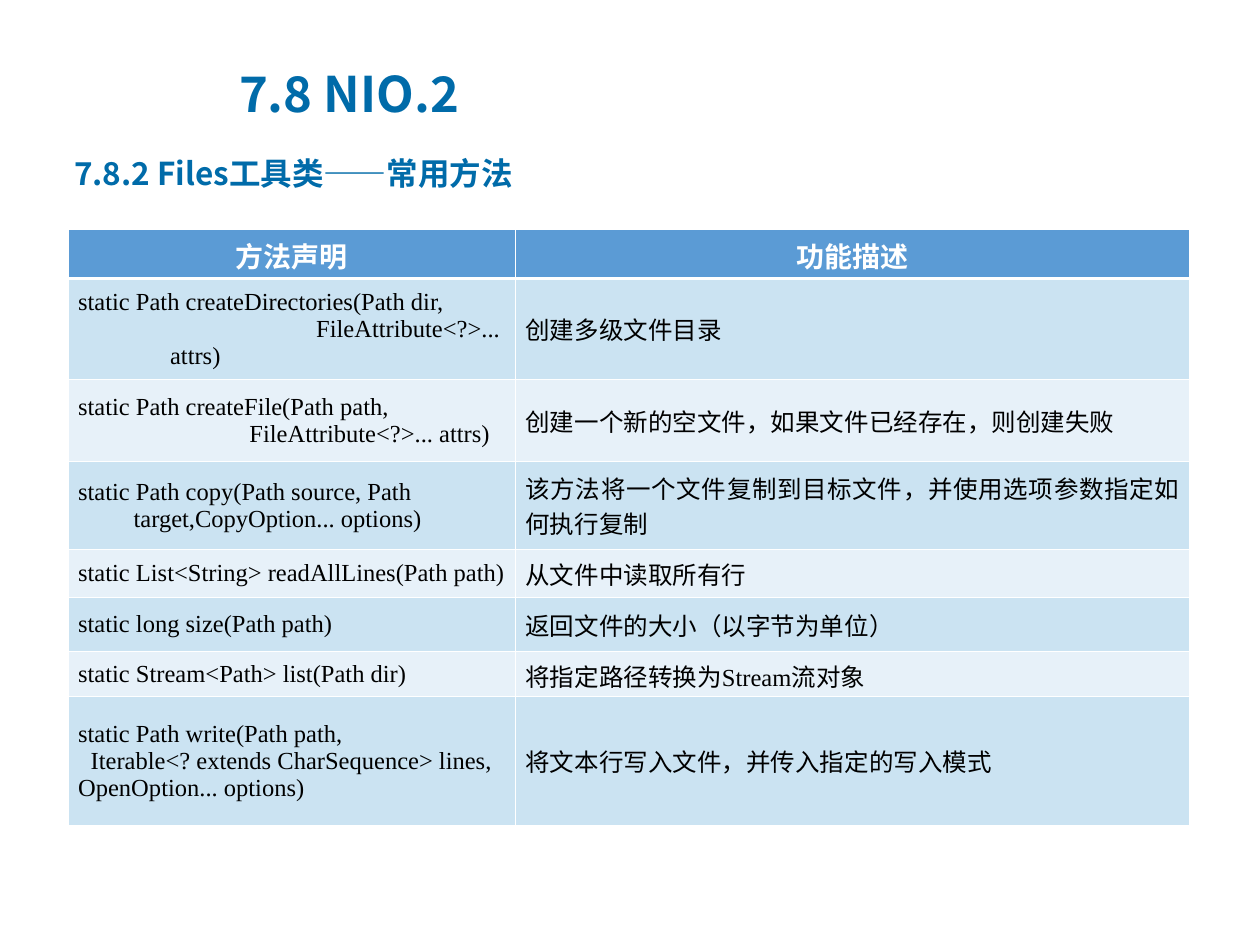
from lxml.etree import SubElement
from pptx import Presentation
from pptx.dml.color import RGBColor
from pptx.enum.text import MSO_ANCHOR as Anchor, PP_ALIGN as Align
from pptx.oxml.ns import qn
from pptx.util import Inches, Pt

BLUE = RGBColor(0x00, 0x6B, 0xA9)
HEADER = RGBColor(0x5B, 0x9B, 0xD5)
BAND_DARK = RGBColor(0xCB, 0xE3, 0xF2)
BAND_LIGHT = RGBColor(0xE7, 0xF1, 0xF9)
WHITE = RGBColor(0xFF, 0xFF, 0xFF)
BLACK = RGBColor(0x00, 0x00, 0x00)

SANS = "Noto Sans CJK SC"
COLUMNS = (3.55, 5.35)
HEADINGS = ("方法声明", "功能描述")
HEADER_HEIGHT = 0.39

# Each signature line: text, left margin, first-line indent
METHODS = [
    (0.8, [("static Path createDirectories(Path dir,", 0.73, -0.73),
           ("FileAttribute<?>... attrs)", 0.73, 1.16)],
     "创建多级文件目录"),
    (0.65, [("static Path createFile(Path path,", 0.88, -0.88),
            ("FileAttribute<?>... attrs)", 0.88, 0.48)],
     "创建一个新的空文件，如果文件已经存在，则创建失败"),
    (0.7, [("static Path copy(Path source, Path target,CopyOption... options)", 0.44, -0.44)],
     "该方法将一个文件复制到目标文件，并使用选项参数指定如何执行复制"),
    (0.38, [("static List<String> readAllLines(Path path)", 0.73, -0.73)],
     "从文件中读取所有行"),
    (0.43, [("static long size(Path path)", 0, 0)],
     "返回文件的大小（以字节为单位）"),
    (0.36, [("static Stream<Path> list(Path dir)", 0, 0)],
     "将指定路径转换为Stream流对象"),
    (1.02, [("static Path write(Path path,", 0, 0),
            ("Iterable<? extends CharSequence> lines, OpenOption... options)", 0, 0.1)],
     "将文本行写入文件，并传入指定的写入模式"),
]


def add_span(para, text, size, color, font=SANS, bold=False):
    span = para.add_run()
    span.text = text
    span.font.size = Pt(size)
    span.font.bold = bold
    span.font.name = font
    span.font.color.rgb = color
    SubElement(span.font._element, qn("a:ea"), typeface=SANS)


def set_indent(para, left, first):
    properties = para._p.get_or_add_pPr()
    properties.set("marL", str(Inches(left)))
    properties.set("indent", str(Inches(first)))


def add_heading(page, left, top, width, height, text, size, anchor):
    box = page.shapes.add_textbox(Inches(left), Inches(top), Inches(width), Inches(height))
    frame = box.text_frame
    frame.word_wrap = True
    frame.vertical_anchor = anchor
    add_span(frame.paragraphs[0], text, size, BLUE, bold=True)


def style_cell(cell, fill, top=0.45, bottom=0.45):
    cell.vertical_anchor = Anchor.MIDDLE
    cell.margin_left = cell.margin_right = Inches(0.08)
    properties = cell._tc.get_or_add_tcPr()
    for side, width in (("L", 0.45), ("R", 0.45), ("T", top), ("B", bottom)):
        line = SubElement(properties, qn(f"a:ln{side}"), w=str(Pt(width)))
        solid = SubElement(line, qn("a:solidFill"))
        SubElement(solid, qn("a:srgbClr"), val=str(WHITE))
    cell.fill.solid()
    cell.fill.fore_color.rgb = fill


def add_method_table(page, left, top):
    heights = [HEADER_HEIGHT] + [method[0] for method in METHODS]
    table = page.shapes.add_table(
        len(heights), len(COLUMNS), Inches(left), Inches(top),
        Inches(sum(COLUMNS)), Inches(sum(heights))).table
    for column, width in zip(table.columns, COLUMNS):
        column.width = Inches(width)
    for row, height in zip(table.rows, heights):
        row.height = Inches(height)

    for index, heading in enumerate(HEADINGS):
        cell = table.cell(0, index)
        style_cell(cell, HEADER, bottom=1.5)
        para = cell.text_frame.paragraphs[0]
        para.alignment = Align.CENTER
        add_span(para, heading, 16, WHITE, "Calibri", True)

    for index, (_, signature, description) in enumerate(METHODS, 1):
        fill = BAND_DARK if index % 2 else BAND_LIGHT
        cells = [table.cell(index, column) for column in range(len(COLUMNS))]
        for cell in cells:
            style_cell(cell, fill, top=1.5 if index == 1 else 0.45)
        frame = cells[0].text_frame
        for number, (text, margin, first) in enumerate(signature):
            para = frame.add_paragraph() if number else frame.paragraphs[0]
            set_indent(para, margin, first)
            add_span(para, text, 14, BLACK, "Times New Roman")
        para = cells[1].text_frame.paragraphs[0]
        para.alignment = Align.JUSTIFY
        add_span(para, description, 14, BLACK, "Times New Roman")


def main():
    deck = Presentation()
    deck.slide_width, deck.slide_height = Inches(10), Inches(7.5)
    page = deck.slides.add_slide(deck.slide_layouts[6])
    add_heading(page, 1.8, 0.43, 5.83, 0.61, "7.8 NIO.2", 28, Anchor.MIDDLE)
    add_heading(page, 0.49, 1.17, 9, 0.71, "7.8.2 Files工具类——常用方法", 18, Anchor.TOP)
    add_method_table(page, 0.54, 1.82)
    deck.save("out.pptx")


if __name__ == "__main__":
    main()
